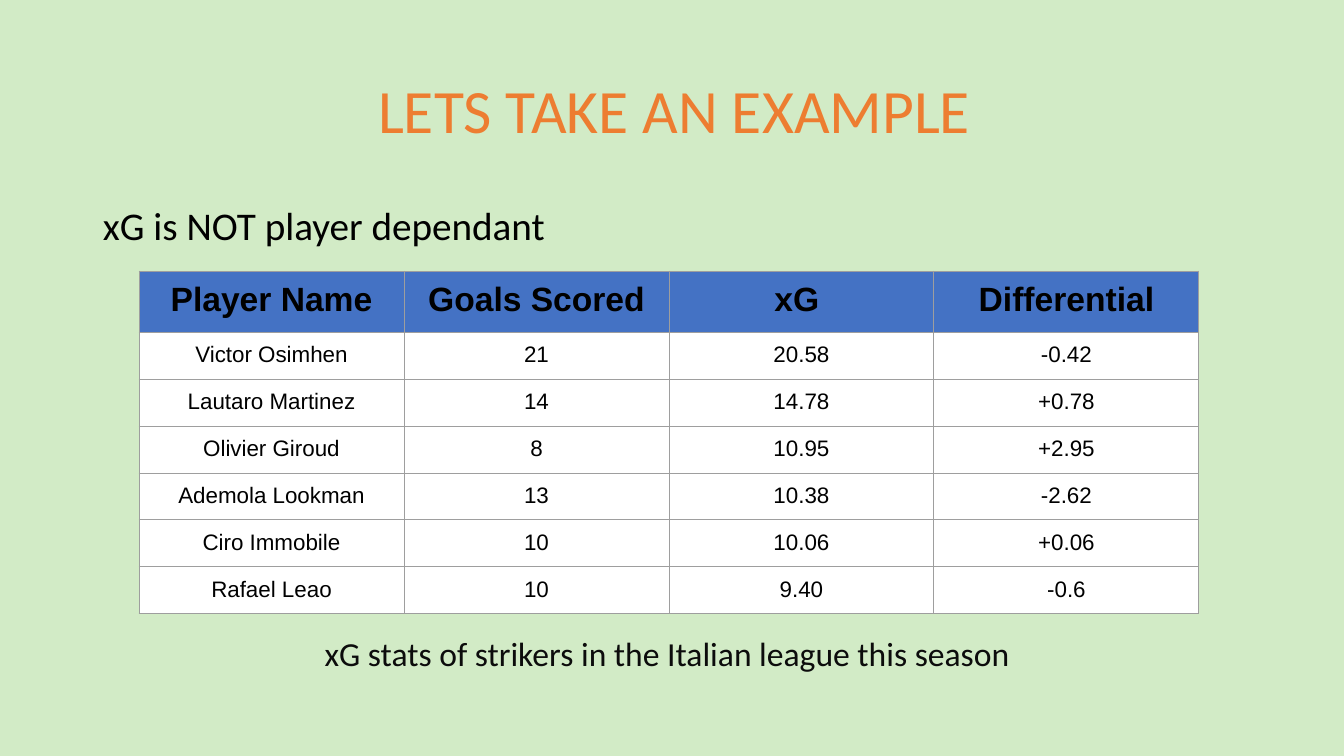
import pptx
import pptx.dml.color
import pptx.enum.text
import pptx.oxml
import pptx.oxml.ns
import pptx.util

PX = 914400 / 100.8
THEME = {
    "background": "D2EBC6", "title": "ED7D31", "text": "000000", "caption": "0C0C0C",
    "header": "4472C4", "row": "FFFFFF", "border": "9E9E9E",
    "font": "Calibri", "table_font": "Arial",
    "title_size": 44, "body_size": 28, "caption_size": 24, "header_size": 24, "row_size": 16,
}
ROWS = [
    ("Player Name", "Goals Scored", "xG ", "Differential"),
    ("Victor Osimhen", "21", "20.58", "-0.42"),
    ("Lautaro Martinez", "14", "14.78", "+0.78"),
    ("Olivier Giroud", "8", "10.95", "+2.95"),
    ("Ademola Lookman", "13", "10.38", "-2.62"),
    ("Ciro Immobile", "10", "10.06", "+0.06"),
    ("Rafael Leao", "10", "9.40", "-0.6"),
]
COL_W, HEADER_H, ROW_H = 265, 61, 47
CENTER = pptx.enum.text.PP_ALIGN.CENTER


def px(*lengths):
    return [pptx.util.Emu(round(n * PX)) for n in lengths]


def write(tf, text, size, color, font, align=None, bold=False):
    p = tf.paragraphs[0]
    p.text = text
    p.alignment = align
    p.font.size = pptx.util.Pt(THEME[size])
    p.font.name = THEME[font]
    p.font.bold = bold
    p.font.color.rgb = pptx.dml.color.RGBColor.from_string(THEME[color])
    return p


prs = pptx.Presentation()
prs.slide_width, prs.slide_height = px(1344, 756)
s = prs.slides.add_slide(prs.slide_layouts[1])
s.background.fill.solid()
s.background.fill.fore_color.rgb = pptx.dml.color.RGBColor.from_string(THEME["background"])

title = s.shapes.title
body = s.placeholders[1]
caption = s.shapes.add_textbox(*px(279, 623, 784, 85))
title.left, title.top, title.width, title.height = px(240, 62, 869, 95)
body.left, body.top, body.width, body.height = px(93, 202, 1159, 480)

for sp, inset in ((title, 10), (body, 5), (caption, 10)):
    tf = sp.text_frame
    tf.word_wrap = True
    tf.auto_size = pptx.enum.text.MSO_AUTO_SIZE.NONE
    tf.vertical_anchor = pptx.enum.text.MSO_ANCHOR.TOP
    tf.margin_left, tf.margin_right, tf.margin_top, tf.margin_bottom = px(10, 10, inset, inset)

write(title.text_frame, "LETS TAKE AN EXAMPLE", "title_size", "title", "font", CENTER)
p = write(body.text_frame, "xG is NOT player dependant", "body_size", "text", "font",
          pptx.enum.text.PP_ALIGN.LEFT)
p.line_spacing = 0.9
p.space_before = pptx.util.Pt(10)
pPr = p._p.get_or_add_pPr()
pPr.set("marL", "0")
pPr.set("indent", "0")
bullet = pptx.oxml.parse_xml(f'<a:buNone {pptx.oxml.ns.nsdecls("a")}/>')
pPr.insert_element_before(bullet, "a:tabLst", "a:defRPr", "a:extLst")
write(caption.text_frame, "xG stats of strikers in the Italian league this season ",
      "caption_size", "caption", "font", CENTER)

table = s.shapes.add_table(
    len(ROWS), len(ROWS[0]),
    *px(139, 271, COL_W * len(ROWS[0]), HEADER_H + ROW_H * (len(ROWS) - 1))).table
table.first_row = table.horz_banding = False
for col in table.columns:
    col.width = px(COL_W)[0]

for i, values in enumerate(ROWS):
    kind = "row" if i else "header"
    table.rows[i].height = px(ROW_H if i else HEADER_H)[0]
    for j, value in enumerate(values):
        cell = table.cell(i, j)
        cell.margin_left, cell.margin_right, cell.margin_top, cell.margin_bottom = px(10, 10, 10, 10)
        cell.fill.solid()
        cell.fill.fore_color.rgb = pptx.dml.color.RGBColor.from_string(THEME[kind])
        write(cell.text_frame, value, f"{kind}_size", "text", "table_font", CENTER, i == 0)
        for n, side in enumerate("LRTB"):
            cell._tc.get_or_add_tcPr().insert(n, pptx.oxml.parse_xml(
                f'<a:ln{side} {pptx.oxml.ns.nsdecls("a")} w="{pptx.util.Pt(0.75)}"><a:solidFill>'
                f'<a:srgbClr val="{THEME["border"]}"/></a:solidFill></a:ln{side}>'))

prs.save("out.pptx")
